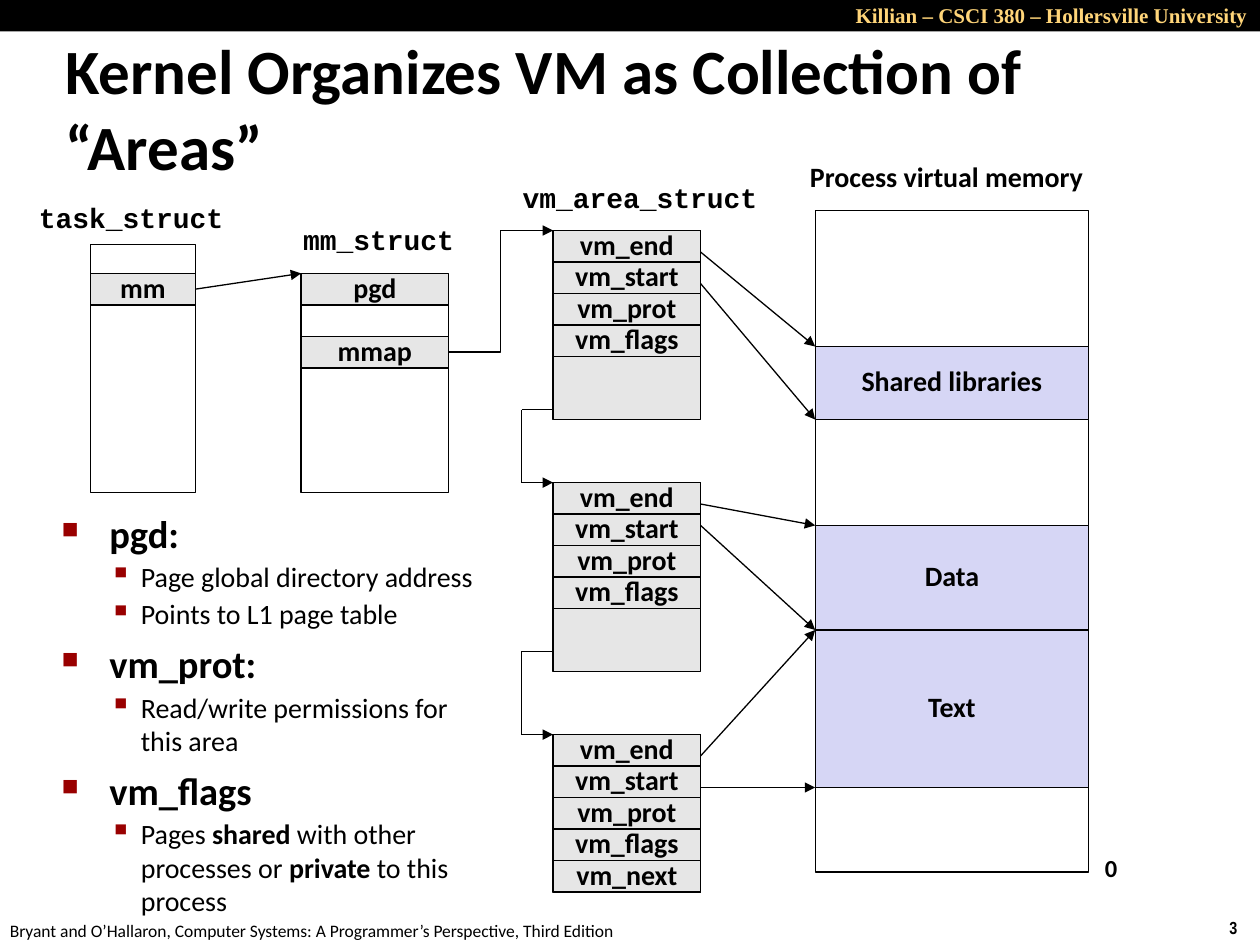
import pptx
import pptx.dml.color
import pptx.enum.shapes
import pptx.enum.text
import pptx.oxml
import pptx.oxml.ns
import pptx.util

Inches = pptx.util.Inches
Pt = pptx.util.Pt
RGBColor = pptx.dml.color.RGBColor
Align = pptx.enum.text.PP_ALIGN
Anchor = pptx.enum.text.MSO_ANCHOR
Shapes = pptx.enum.shapes.MSO_SHAPE
Connectors = pptx.enum.shapes.MSO_CONNECTOR

COLORS = {
    "black": "000000",
    "white": "FFFFFF",
    "field": "E6E6E6",
    "area": "D6D6F5",
    "header": "FFD579",
    "bullet": "990000",
}
NAMESPACE = pptx.oxml.ns.nsdecls("a")

deck = pptx.Presentation()
deck.slide_width, deck.slide_height = Inches(10), Inches(7.5)
page = deck.slides.add_slide(deck.slide_layouts[6])


def add_box(place, text="", fill=None, size=16, font="Calibri", bold=True, color="black",
            align=Align.LEFT, wrap=False, spacing=0.88, before=6):
    """Add a filled rectangle, or a plain text box when fill is None."""
    lengths = [Inches(value) for value in place]
    if fill:
        box = page.shapes.add_shape(Shapes.RECTANGLE, *lengths)
        box.shadow.inherit = False
        box.fill.solid()
        box.fill.fore_color.rgb = RGBColor.from_string(COLORS[fill])
        box.line.color.rgb = RGBColor.from_string(COLORS["black"])
        box.line.width = Pt(0.75)
        align = Align.CENTER
    else:
        box = page.shapes.add_textbox(*lengths)
    box.text_frame.word_wrap = wrap
    box.text_frame.vertical_anchor = Anchor.MIDDLE if fill else Anchor.TOP
    if text:
        para = box.text_frame.paragraphs[0]
        paragraph_format = {"alignment": align, "line_spacing": spacing, "space_before": Pt(before)}
        for name, value in paragraph_format.items():
            setattr(para, name, value)
        span = para.add_run()
        span.text = text
        for name, value in {"name": font, "size": Pt(size), "bold": bold}.items():
            setattr(span.font, name, value)
        span.font.color.rgb = RGBColor.from_string(COLORS[color])
    return box


def add_link(start, end, arrow=True, kind=Connectors.STRAIGHT):
    link = page.shapes.add_connector(kind, *[Inches(value) for value in start + end])
    link.line.color.rgb = RGBColor.from_string(COLORS["black"])
    link.line.width = Pt(0.75)
    if arrow:
        link.line._get_or_add_ln().append(
            pptx.oxml.parse_xml(f'<a:tailEnd {NAMESPACE} type="triangle"/>'))
    link._element.spPr.append(pptx.oxml.parse_xml(f"<a:effectLst {NAMESPACE}/>"))
    return link


# Header, footer and title
band = add_box((0, 0, 10, 0.25), fill="black")
band.line.fill.background()
plain = {"spacing": 1, "before": 0}
add_box((6.17, -0.03, 3.83, 0.3), "Killian – CSCI 380 – Hollersville University", size=12,
        font="Times New Roman", color="header", align=Align.RIGHT, wrap=True, **plain)
add_box((9.66, 7.23, 0.34, 0.27), "3", size=10, font="Arial Narrow", **plain)
add_box((-0.02, 7.25, 5.08, 0.27),
        "Bryant and O’Hallaron, Computer Systems: A Programmer’s Perspective, Third Edition",
        size=10, bold=False, **plain)
title = add_box((0.42, 0.25, 9.42, 1.2), "Kernel Organizes VM as Collection of “Areas”",
                size=36, wrap=True, **plain)
title.text_frame.vertical_anchor = Anchor.MIDDLE

# Captions
code = {"font": "Courier New"}
add_box((0.2, 1.58, 1.68, 0.34), "task_struct", align=Align.CENTER, **code)
add_box((2.3, 1.75, 1.41, 0.34), "mm_struct", align=Align.CENTER, **code)
add_box((4.05, 1.42, 2.08, 0.34), "vm_area_struct", before=10, **code)
add_box((6.33, 1.25, 2.4, 0.34), "Process virtual memory", before=10)
add_box((8.67, 6.75, 0.31, 0.31), "0", size=14, before=5.2)

# task_struct and mm_struct
ROW = 0.25
add_box((0.72, 1.94, 0.83, 1.97), fill="white")
mm = add_box((0.72, 2.17, 0.83, ROW), "mm", "field")
add_box((2.39, 2.19, 1.17, 1.72), fill="white")
add_box((2.39, 2.17, 1.17, ROW), "pgd", "field")
mmap = add_box((2.39, 2.67, 1.17, ROW), "mmap", "field")

# Chain of vm_area_struct records
AREA_LEFT, AREA_WIDTH = 4.39, 1.17
AREA_RIGHT = AREA_LEFT + AREA_WIDTH
FIELDS = ["vm_end", "vm_start", "vm_prot", "vm_flags"]
for top, height, fields in [(1.83, 1.5, FIELDS), (3.83, 1.5, FIELDS),
                            (5.83, 1.25, FIELDS + ["vm_next"])]:
    add_box((AREA_LEFT, top, AREA_WIDTH, height), fill="field")
    for row, field in enumerate(fields):
        add_box((AREA_LEFT, top + row * ROW, AREA_WIDTH, ROW), field, "field")

# Process memory
MEMORY_LEFT, MEMORY_WIDTH = 6.47, 2.17
add_box((MEMORY_LEFT, 1.67, MEMORY_WIDTH, 5.25), fill="white")
for name, top, bottom in [("Shared libraries", 2.75, 3.33), ("Data", 4.17, 5), ("Text", 5, 6.25)]:
    add_box((MEMORY_LEFT, top, MEMORY_WIDTH, bottom - top), name, "area")

# Pointers
for start, end in [(2, 2.75), (2.25, 3.33), (4, 4.17), (4.17, 5), (6, 5), (6.25, 6.25)]:
    add_link((AREA_RIGHT, start), (MEMORY_LEFT, end))
NEXT_LEFT = AREA_LEFT - 0.25
for start, end in [(3.25, 3.83), (5.17, 5.83)]:
    corners = [(AREA_LEFT, start), (NEXT_LEFT, start), (NEXT_LEFT, end), (AREA_LEFT, end)]
    for index in range(3):
        add_link(corners[index], corners[index + 1], arrow=index == 2)
add_link((1.55, 2.29), (2.39, 2.17)).begin_connect(mm, 3)
add_link((3.56, 2.79), (AREA_LEFT, 1.83), kind=Connectors.ELBOW).begin_connect(mmap, 3)

# Explanations: (level, spans); a span is (text, bold)
NOTES = [
    (0, [("pgd:", True)]),
    (1, [("Page global directory address", False)]),
    (1, [("Points to L1 page table", False)]),
    (0, [("vm_prot:", True)]),
    (1, [("Read/write permissions for ", False), ("\n", False), ("this area", False)]),
    (0, [("vm_flags", True)]),
    (1, [("Pages ", False), ("shared", True), (" with other processes or ", False),
         ("private", True), (" to this process", False)]),
]
LEVELS = [
    {"size": 22, "before": 5.6, "margin": 0.38, "hang": 0.38, "bullet": "■", "percent": 60},
    {"size": 16, "before": 2, "margin": 0.63, "hang": 0.25, "bullet": "▪", "percent": 110},
]
notes = add_box((0.39, 4, 3.5, 3.16), wrap=True).text_frame
for index, (level, spans) in enumerate(NOTES):
    style = LEVELS[level]
    para = notes.add_paragraph() if index else notes.paragraphs[0]
    para.level = level
    para.space_before = Pt(style["before"])
    properties = para._p.get_or_add_pPr()
    properties.set("marL", str(Inches(style["margin"])))
    properties.set("indent", str(-Inches(style["hang"])))
    for markup in [
        f'<a:buClr {NAMESPACE}><a:srgbClr val="{COLORS["bullet"]}"/></a:buClr>',
        f'<a:buSzPct {NAMESPACE} val="{style["percent"] * 1000}"/>',
        f'<a:buChar {NAMESPACE} char="{style["bullet"]}"/>',
    ]:
        properties.append(pptx.oxml.parse_xml(markup))
    for text, bold in spans:
        if text == "\n":
            para.add_line_break()
            continue
        span = para.add_run()
        span.text = text
        for name, value in {"name": "Calibri", "size": Pt(style["size"]), "bold": bold}.items():
            setattr(span.font, name, value)
        span.font.color.rgb = RGBColor.from_string(COLORS["black"])

deck.save("out.pptx")
